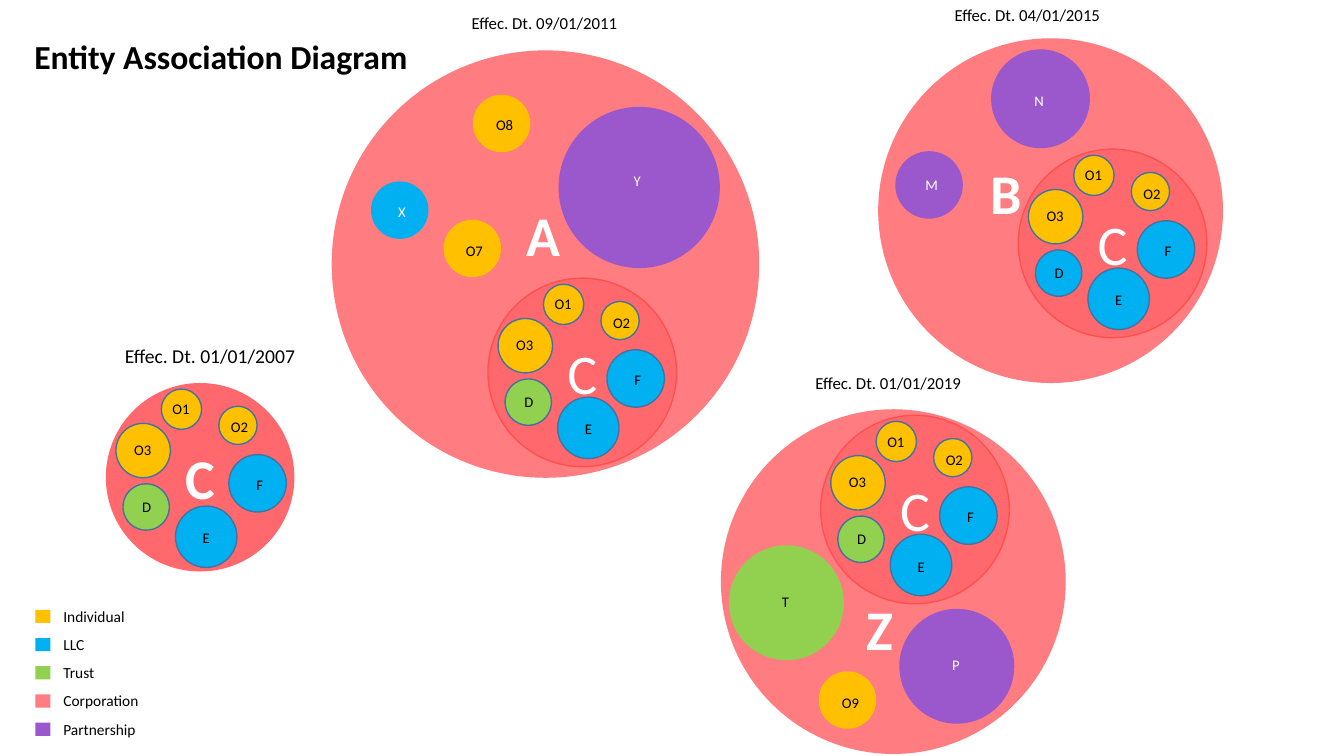
"""Build the Entity Association Diagram slide."""
from dataclasses import dataclass, replace
from typing import Optional, Union

from pptx import Presentation, util as u
from pptx.dml import color
from pptx.enum import shapes, text
from pptx.shapes import autoshape, shapetree

Tree = Union[shapetree.SlideShapes, shapetree.GroupShapes]

PX = 9144
FONT = "Calibri"
COLORS = {
    "Individual": "FFC000",
    "LLC": "00B0F0",
    "Trust": "92D050",
    "Corporation": "FF7C80",
    "Partnership": "9A58CC",
    "core": "FF696D",
    "core edge": "FF5050",
    "member edge": "43739E",
    "black": "000000",
    "white": "FFFFFF",
}


@dataclass(frozen=True)
class Bubble:
    name: str
    kind: str
    x: int
    y: int
    size: int
    label_dx: int
    label_dy: int
    label_w: int = 39
    ink: str = "black"


@dataclass(frozen=True)
class Cluster:
    x: int
    y: int
    d_kind: str = "Trust"
    spread: int = 0
    edge: Optional[str] = "core edge"
    bold: bool = False


@dataclass(frozen=True)
class Corporation:
    name: str
    x: int
    y: int
    size: int
    name_x: int
    name_y: int


@dataclass(frozen=True)
class DateLabel:
    date: str
    x: int
    y: int
    h: int = 30
    size: int = 12


CORPORATIONS = [
    Corporation("A", 329, 50, 424, 512, 194),
    Corporation("Z", 715, 406, 342, 850, 585),
    Corporation("B", 871, 38, 342, 973, 152),
]
CLUSTERS = [
    Cluster(105, 380, spread=4, edge=None, bold=True),
    Cluster(484, 276),
    Cluster(1010, 148, d_kind="LLC"),
    Cluster(814, 412),
]
MEMBERS = [
    Bubble("O1", "Individual", 55, 6, 40, 0, 6),
    Bubble("O2", "Individual", 112, 23, 38, 1, 7),
    Bubble("O3", "Individual", 10, 40, 54, 7, 12),
    Bubble("D", "Trust", 17, 100, 46, 4, 9),
    Bubble("E", "LLC", 69, 118, 61, 11, 18),
    Bubble("F", "LLC", 118, 71, 57, 11, 16),
]
BUBBLES = [
    Bubble("O7", "Individual", 440, 218, 57, 11, 17),
    Bubble("Y", "Partnership", 554, 106, 160, 23, 60, 110, "white"),
    Bubble("X", "LLC", 368, 180, 57, 11, 16, ink="white"),
    Bubble("N", "Partnership", 983, 49, 98, 14, 37, 67, "white"),
    Bubble("M", "Partnership", 888, 150, 67, 13, 19, 46, "white"),
    Bubble("O8", "Individual", 469, 94, 57, 12, 16),
    Bubble("P", "Partnership", 892, 604, 114, 17, 42, 78, "white"),
    Bubble("O9", "Individual", 812, 666, 57, 12, 17),
    Bubble("T", "Trust", 723, 541, 114, 17, 42, 78),
]
DATES = [
    DateLabel("01/01/2007", 114, 336, 34, 14),
    DateLabel("09/01/2011", 458, 8),
    DateLabel("04/01/2015", 937, 0),
    DateLabel("01/01/2019", 799, 365),
]
LEGEND = ["Individual", "LLC", "Trust", "Corporation", "Partnership"]


def rgb(name: str) -> color.RGBColor:
    """Look up a named colour."""
    return color.RGBColor.from_string(COLORS[name])


def write(sp: autoshape.Shape, content: str, *, size: float, ink: str = "black",
          bold: bool = False, center: bool = False, middle: bool = False,
          grow: bool = True) -> None:
    """Put one formatted line of text in a shape."""
    tf = sp.text_frame
    tf.word_wrap = True
    tf.auto_size = (text.MSO_AUTO_SIZE.SHAPE_TO_FIT_TEXT if grow
                    else text.MSO_AUTO_SIZE.NONE)
    tf.vertical_anchor = text.MSO_ANCHOR.MIDDLE if middle else text.MSO_ANCHOR.TOP
    p = tf.paragraphs[0]
    p.alignment = text.PP_ALIGN.CENTER if center else text.PP_ALIGN.LEFT
    r = p.add_run()
    r.text = content
    r.font.name = FONT
    r.font.size = u.Pt(size)
    r.font.bold = bold
    r.font.color.rgb = rgb(ink)


def add_label(tree: Tree, content: str, x: int, y: int, w: int, h: int,
              **style) -> None:
    """Add a text box with one line."""
    write(tree.add_textbox(x * PX, y * PX, w * PX, h * PX), content, **style)


def add_figure(tree: Tree, preset: shapes.MSO_SHAPE, x: int, y: int, w: int, h: int,
               fill: str, edge: Optional[str] = None) -> autoshape.Shape:
    """Add a filled preset shape with an optional outline."""
    sp = tree.add_shape(preset, x * PX, y * PX, w * PX, h * PX)
    sp.shadow.inherit = False
    sp.fill.solid()
    sp.fill.fore_color.rgb = rgb(fill)
    if edge:
        sp.line.color.rgb = rgb(edge)
        sp.line.width = u.Pt(1)
    else:
        sp.line.fill.background()
    return sp


def add_circle(tree: Tree, x: int, y: int, size: int, fill: str,
               edge: Optional[str] = None) -> autoshape.Shape:
    """Add a circle."""
    return add_figure(tree, shapes.MSO_SHAPE.OVAL, x, y, size, size, fill, edge)


def add_bubble(tree: Tree, b: Bubble, edge: Optional[str] = None) -> None:
    """Add a circle and its label."""
    add_circle(tree, b.x, b.y, b.size, b.kind, edge)
    add_label(tree, b.name, b.x + b.label_dx, b.y + b.label_dy, b.label_w, 29,
              size=10.5, ink=b.ink, center=True)


def add_cluster(tree: Tree, c: Cluster) -> None:
    """Add corporation C with its members as one group."""
    group = tree.add_group_shape().shapes
    core = add_circle(group, c.x, c.y, 187, "core", c.edge)
    write(core, "C", size=40, ink="white", bold=c.bold, center=True, middle=True,
          grow=False)
    for m in MEMBERS:
        dx = c.spread if m.name == "F" else 0
        dy = c.spread if m.name == "E" else 0
        kind = c.d_kind if m.name == "D" else m.kind
        add_bubble(group, replace(m, kind=kind, x=c.x + m.x + dx, y=c.y + m.y + dy),
                   "member edge")


def main() -> None:
    """Draw the slide and save it."""
    prs = Presentation()
    prs.slide_width, prs.slide_height = 1333 * PX, 750 * PX
    s = prs.slides.add_slide(prs.slide_layouts[5])
    title = s.shapes.title
    title.left, title.top, title.width, title.height = (
        v * PX for v in (24, 31, 515, 50))
    write(title, "Entity Association Diagram", size=24, bold=True)
    for corp in CORPORATIONS:
        add_circle(s.shapes, corp.x, corp.y, corp.size, "Corporation")
    for d in DATES:
        add_label(s.shapes, f"Effec. Dt. {d.date}", d.x, d.y, 276, d.h, size=d.size)
    for c in CLUSTERS:
        add_cluster(s.shapes, c)
    for corp in CORPORATIONS:
        add_label(s.shapes, corp.name, corp.name_x, corp.name_y, 61, 77,
                  size=40, ink="white", bold=True)
    for b in BUBBLES:
        add_bubble(s.shapes.add_group_shape().shapes, b)
    for i, kind in enumerate(LEGEND):
        y = 597 + 28 * i
        add_figure(s.shapes, shapes.MSO_SHAPE.RECTANGLE, 35, y + 8, 15, 13, kind)
        add_label(s.shapes, kind, 53, y, 276, 29, size=11)
    prs.save("out.pptx")


if __name__ == "__main__":
    main()
